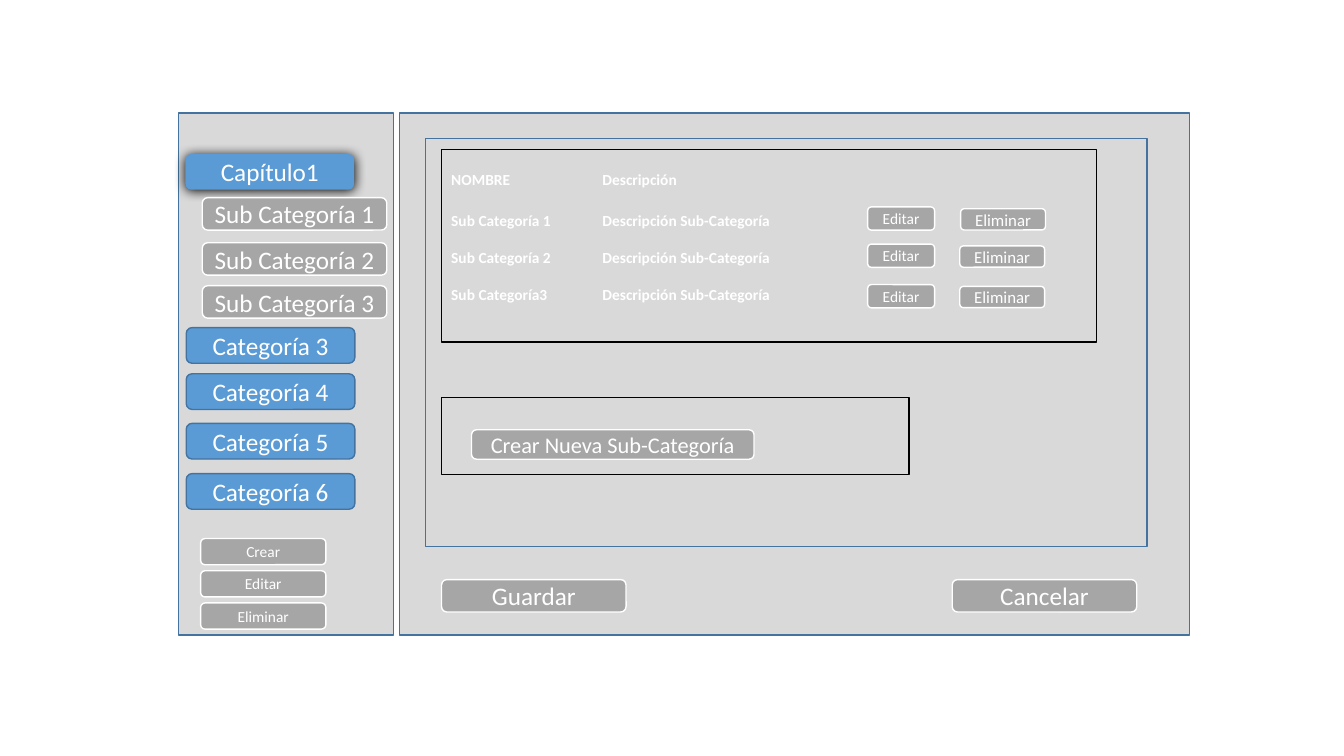
from lxml.etree import SubElement
from pptx import Presentation
from pptx.dml.color import RGBColor
from pptx.enum.shapes import MSO_SHAPE
from pptx.enum.text import MSO_ANCHOR, PP_ALIGN
from pptx.oxml.ns import qn
from pptx.util import Pt

WHITE = RGBColor(0xFF, 0xFF, 0xFF)
BLACK = RGBColor(0, 0, 0)
PALE = RGBColor(0xD9, 0xD9, 0xD9)
GREY = RGBColor(0xA6, 0xA6, 0xA6)
BLUE = RGBColor(0x5B, 0x9B, 0xD5)
NAVY = RGBColor(0x43, 0x73, 0x9E)


def assign(item, values):
    for name, value in values.items():
        setattr(item, name, value)


def paint(part, color):
    if color is None:
        part.background()
    else:
        part.solid()
        part.fore_color.rgb = color


def add_box(slide, box, fill, line, kind=MSO_SHAPE.RECTANGLE):
    shape = slide.shapes.add_shape(kind, *map(Pt, box))
    paint(shape.fill, fill)
    paint(shape.line.fill, line)
    if line is not None:
        shape.line.width = Pt(1)
    shape.shadow.inherit = False
    return shape


def write(para, text, size, bold, align):
    para.alignment = align
    run = para.add_run()
    run.text = text
    assign(run.font, {"name": "Calibri", "size": Pt(size), "bold": bold})
    run.font.color.rgb = WHITE


def add_button(slide, text, box, size=18, fill=GREY, line=WHITE):
    shape = add_box(slide, box, fill, line, MSO_SHAPE.ROUNDED_RECTANGLE)
    frame = shape.text_frame
    assign(frame, {"word_wrap": True, "vertical_anchor": MSO_ANCHOR.MIDDLE})
    write(frame.paragraphs[0], text, size, False, PP_ALIGN.CENTER)
    return shape


def add_rows(shape, rows):
    frame = shape.text_frame
    assign(frame, {"word_wrap": True, "vertical_anchor": MSO_ANCHOR.TOP})
    for i, row in enumerate(rows):
        para = frame.add_paragraph() if i else frame.paragraphs[0]
        para.space_before = Pt(13.4 if i else 0)
        write(para, "\t\t".join(row), 11, True, PP_ALIGN.LEFT)


def add_glow(shape):
    effects = shape._element.spPr.find(qn("a:effectLst"))
    values = {"blurRad": str(Pt(8.5)), "dist": str(Pt(1)),
              "dir": "5400000", "algn": "ctr", "rotWithShape": "0"}
    glow = SubElement(effects, qn("a:outerShdw"), values)
    SubElement(glow, qn("a:srgbClr"), {"val": str(BLACK)})


def add_menu(slide):
    add_glow(add_button(slide, "Capítulo1", (132.5, 110, 120.5, 25.5),
                        fill=BLUE, line=None))
    for i, top in enumerate((141.2, 173.4, 204.1), 1):
        add_button(slide, f"Sub Categoría {i}", (144.5, top, 131.8, 23.2))
    for i, top in enumerate((234, 267, 302.4, 338.3), 3):
        add_button(slide, f"Categoría {i}", (133, top, 120.5, 25.5),
                   fill=BLUE, line=NAVY)
    for i, text in enumerate(("Crear", "Editar", "Eliminar")):
        add_button(slide, text, (143.3, 384.7 + 23 * i, 89.5, 18.7), 11)


def add_list(slide):
    head = slide.shapes.add_textbox(*map(Pt, (315.2, 118.2, 334, 20.6)))
    add_rows(head, [("NOMBRE", "Descripción")])
    body = add_box(slide, (315.2, 147, 488.2, 87), PALE, None)
    names = ("Sub Categoría 1", "Sub Categoría 2", "Sub Categoría3")
    add_rows(body, [(name, "Descripción Sub-Categoría") for name in names])
    for top, left in ((147.8, 686.2), (174.4, 685.6), (203.3, 685.6)):
        add_button(slide, "Editar", (619.8, top, 47.8, 16.6), 11)
        add_button(slide, "Eliminar", (left, top + 1.3, 60.6, 15.2), 12)
    add_box(slide, (315.2, 106.6, 468, 137.8), None, BLACK)


def main():
    deck = Presentation()
    assign(deck, {"slide_width": Pt(960), "slide_height": Pt(540)})
    slide = deck.slides.add_slide(deck.slide_layouts[6])
    for box in ((127.5, 80.7, 153.4, 373), (285.2, 80.7, 564.4, 373),
                (303.8, 99, 515.6, 291.5)):
        add_box(slide, box, PALE, NAVY)
    add_menu(slide)
    add_list(slide)
    add_button(slide, "Crear Nueva Sub-Categoría", (336.8, 307, 201.8, 21), 16)
    add_box(slide, (315.2, 284, 334, 55), None, BLACK)
    for text, left in (("Guardar", 315.4), ("Cancelar", 680.2)):
        add_button(slide, text, (left, 414, 131.8, 23.2))
    deck.save("out.pptx")


main()
